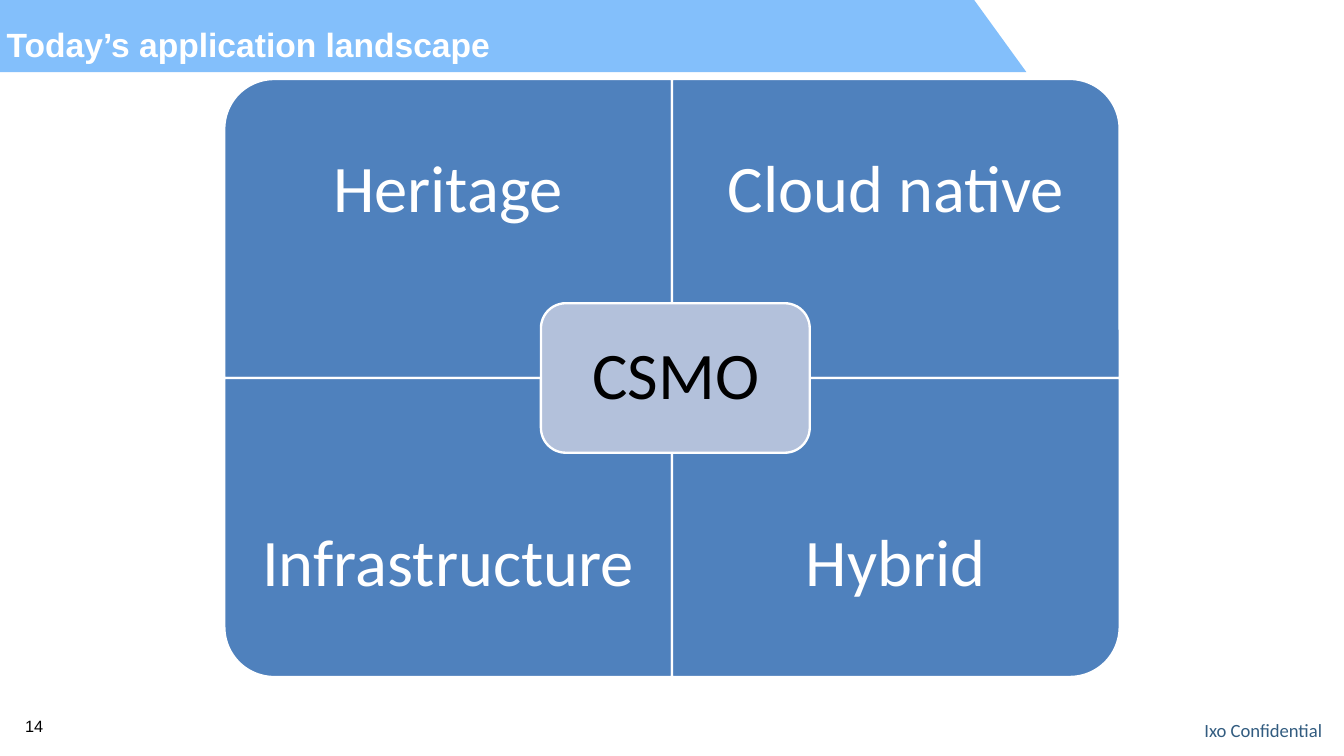
from lxml.etree import SubElement
from pptx import Presentation
from pptx.dml.color import RGBColor
from pptx.enum.shapes import MSO_SHAPE
from pptx.enum.text import MSO_ANCHOR, PP_ALIGN
from pptx.oxml.ns import qn
from pptx.util import Inches, Pt

WHITE = RGBColor(0xFF, 0xFF, 0xFF)
BLACK = RGBColor(0, 0, 0)
SKY = RGBColor(0x5A, 0xAA, 0xFA)
BLUE = RGBColor(0x4F, 0x81, 0xBD)
PALE = RGBColor(0xB3, 0xC1, 0xDB)
NAVY = RGBColor(0x32, 0x5C, 0x80)


def add_text(text, x, y, w, h, size, color, font="Calibri", pad=(0, 0),
             align=PP_ALIGN.LEFT, bold=False, spacing=1.0):
    """Add a text box; pad is the side and the top/bottom inset in inches."""
    frame = slide.shapes.add_textbox(
        Inches(x), Inches(y), Inches(w), Inches(h)).text_frame
    frame.word_wrap = True
    frame.vertical_anchor = MSO_ANCHOR.MIDDLE
    frame.margin_left = frame.margin_right = Inches(pad[0])
    frame.margin_top = frame.margin_bottom = Inches(pad[1])
    frame.text = text
    para = frame.paragraphs[0]
    para.alignment = align
    para.line_spacing = spacing
    style = para.runs[0].font
    style.name, style.size, style.bold = font, Pt(size), bold
    style.color.rgb = color


def add_tile(kind, x, y, w, h, fill, turn=0):
    tile = slide.shapes.add_shape(
        kind, Inches(x), Inches(y), Inches(w), Inches(h))
    tile.rotation = turn
    tile.shadow.inherit = False
    tile.fill.solid()
    tile.fill.fore_color.rgb = fill
    tile.line.color.rgb = WHITE
    tile.line.width = Pt(2)


deck = Presentation()
deck.slide_width, deck.slide_height = Inches(16), Inches(9)
slide = deck.slides.add_slide(deck.slide_layouts[6])

# Title banner
pen = slide.shapes.build_freeform(0, Inches(-0.01))
pen.add_line_segments([(Inches(11.59), Inches(-0.01)),
                       (Inches(12.22), Inches(0.86)),
                       (0, Inches(0.86))])
banner = pen.convert_to_shape()
banner.shadow.inherit = False
banner.line.fill.background()
banner.fill.solid()
banner.fill.fore_color.rgb = SKY
tint = banner.fill._xPr.find(qn("a:solidFill"))[0]
SubElement(tint, qn("a:alpha"), val="75000")
add_text("Today’s application landscape", 0, 0.16, 13.47, 0.72, 28.8, WHITE,
         "Arial", (0.08, 0.08), bold=True)

# Footer
add_text("14", 0.2, 8.46, 0.47, 0.37, 14, BLACK, "Arial", (0.1, 0.05))
add_text("Ixo Confidential", 11.34, 8.56, 4.4, 0.27, 16, NAVY,
         align=PP_ALIGN.RIGHT)

# Four quadrants, each turned so that its round corner faces outwards
LEFT, TOP, WIDE, HIGH = 2.67, 0.94, 5.33, 3.56
LABEL = 2.67
quads = [("Heritage", 0, 0, 270), ("Cloud native", 1, 0, 0),
         ("Infrastructure", 0, 1, 180), ("Hybrid", 1, 1, 90)]
for name, col, row, turn in quads:
    x, y = LEFT + col * WIDE, TOP + row * HIGH
    w, h = (HIGH, WIDE) if turn % 180 else (WIDE, HIGH)
    add_tile(MSO_SHAPE.ROUND_1_RECTANGLE, x + (WIDE - w) / 2,
             y + (HIGH - h) / 2, w, h, BLUE, turn)
    add_text(name, x, y + row * (HIGH - LABEL), WIDE, LABEL, 57, WHITE,
             pad=(0.4, 0.44), align=PP_ALIGN.CENTER, spacing=0.9)

# Centre
add_tile(MSO_SHAPE.ROUNDED_RECTANGLE, 6.44, 3.61, 3.2, 1.78, PALE)
add_text("CSMO", 6.53, 3.7, 3.03, 1.6, 57, BLACK, pad=(0.24, 0.24),
         align=PP_ALIGN.CENTER, spacing=0.9)

deck.save("out.pptx")
